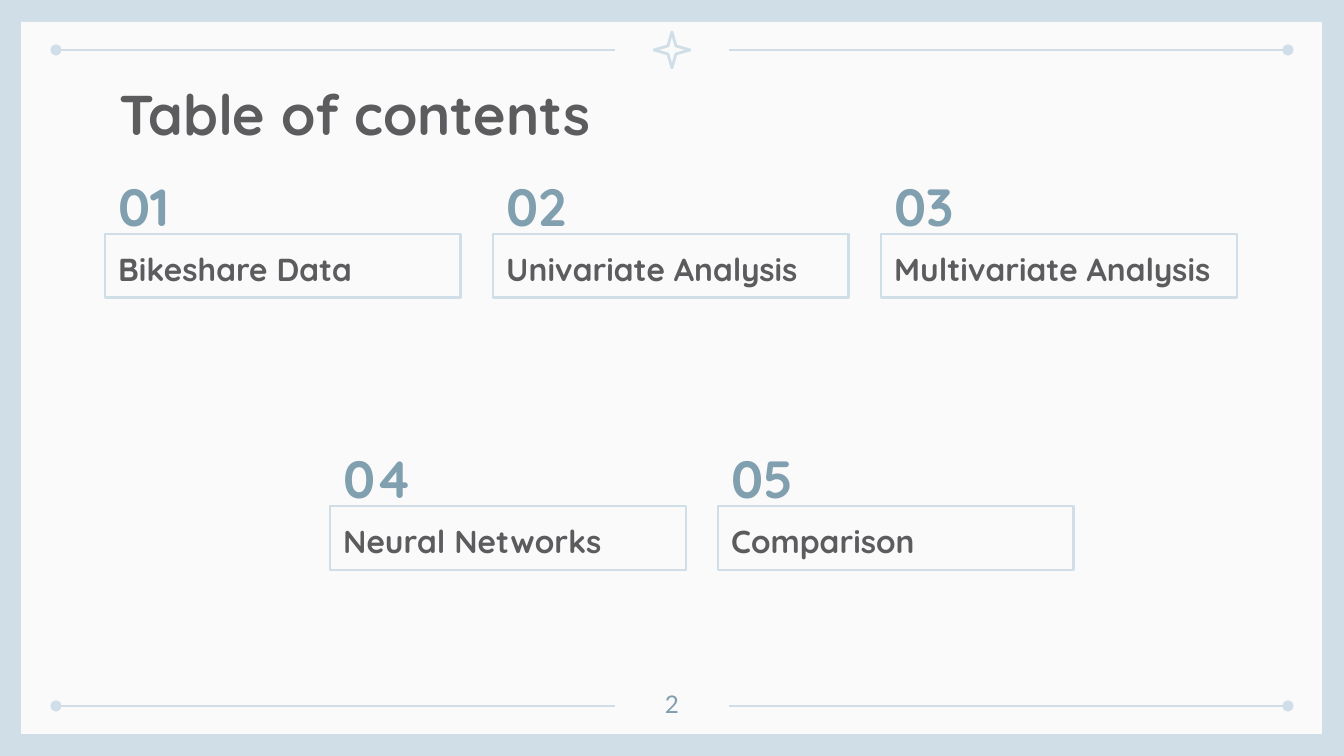
from lxml.etree import SubElement
from pptx import Presentation
from pptx.dml.color import RGBColor
from pptx.enum.shapes import MSO_CONNECTOR as Connector, MSO_SHAPE as Shape
from pptx.enum.text import MSO_ANCHOR as Anchor, PP_ALIGN as Align
from pptx.oxml.ns import qn
from pptx.util import Emu, Pt

SCALE = 914400 / 134.4  # EMU per px
PALE, PAPER, STEEL, GREY = "CFDEE7", "FAFAFA", "809FAF", "5C5C5F"
HEADING_FONT, NUMBER_FONT = "Quicksand", "Lato"
LINE_WIDTH = Pt(1.5)

COLUMN_STEP = 388
# Left and top of each row, then its entries
ROWS = [
    (105, 168, ["Bikeshare Data", "Univariate Analysis", "Multivariate Analysis"]),
    (330, 440, ["Neural Networks", "Comparison"]),
]


def px(*lengths):
    return [Emu(round(length * SCALE)) for length in lengths]


def color(value):
    return RGBColor.from_string(value)


def add_box(slide, kind, box, fill=None, line=None):
    shape = slide.shapes.add_shape(kind, *px(*box))
    shape.shadow.inherit = False
    if fill:
        shape.fill.solid()
        shape.fill.fore_color.rgb = color(fill)
    else:
        shape.fill.background()
    if line:
        shape.line.color.rgb = color(line)
        shape.line.width = LINE_WIDTH
    else:
        shape.line.fill.background()
    return shape


def add_dotted_line(slide, dot_x, end_x, y):
    line = slide.shapes.add_connector(Connector.STRAIGHT, *px(dot_x, y, end_x, y))
    line.line.color.rgb = color(PALE)
    line.line.width = LINE_WIDTH
    SubElement(line.line._get_or_add_ln(), qn("a:headEnd"), type="oval")
    SubElement(line._element.spPr, qn("a:effectLst"))


def write(shape, text, size, ink, font=HEADING_FONT, bold=True,
          align=Align.LEFT, anchor=Anchor.MIDDLE, spacing=1.15):
    frame = shape.text_frame
    frame.word_wrap = True
    frame.vertical_anchor = anchor
    frame.margin_left = frame.margin_right = Pt(7.2)
    frame.margin_top = frame.margin_bottom = Pt(7.2)
    paragraph = frame.paragraphs[0]
    paragraph.text = text
    paragraph.alignment = align
    paragraph.line_spacing = spacing
    paragraph.font.name = font
    paragraph.font.size = Pt(size)
    paragraph.font.bold = bold
    paragraph.font.color.rgb = color(ink)


def add_text(slide, box, text, size, ink, **style):
    write(slide.shapes.add_textbox(*px(*box)), text, size, ink, **style)


def add_frame(slide):
    slide.background.fill.solid()
    slide.background.fill.fore_color.rgb = color(PALE)
    add_box(slide, Shape.RECTANGLE, (21, 22, 1301, 712), fill=PAPER)
    for y in (50, 706):
        add_dotted_line(slide, 56, 615, y)
        add_dotted_line(slide, 1288, 729, y)
    star = add_box(slide, Shape.STAR_4_POINT, (654, 32, 36, 36), line=PALE)
    star.adjustments[0] = 0.157


def add_entry(slide, left, top, number, label):
    add_text(slide, (left, top, 97, 65), f"{number:02}", 28, STEEL)
    box = add_box(slide, Shape.RECTANGLE, (left, top + 66, 356, 64), line=PALE)
    write(box, label, 17, GREY)


def main():
    presentation = Presentation()
    presentation.slide_width, presentation.slide_height = px(1344, 756)
    slide = presentation.slides.add_slide(presentation.slide_layouts[6])

    add_frame(slide)
    add_text(slide, (106, 66, 1133, 85), "Table of contents", 30, GREY,
             anchor=Anchor.TOP, spacing=1.0)

    # Numbered entries
    number = 1
    for left, top, labels in ROWS:
        for column, label in enumerate(labels):
            add_entry(slide, left + column * COLUMN_STEP, top, number, label)
            number += 1

    # Page number
    add_text(slide, (632, 676, 80, 48), "2", 13, STEEL, font=NUMBER_FONT,
             bold=False, align=Align.CENTER, anchor=Anchor.TOP, spacing=1.0)

    presentation.save("out.pptx")


if __name__ == "__main__":
    main()
